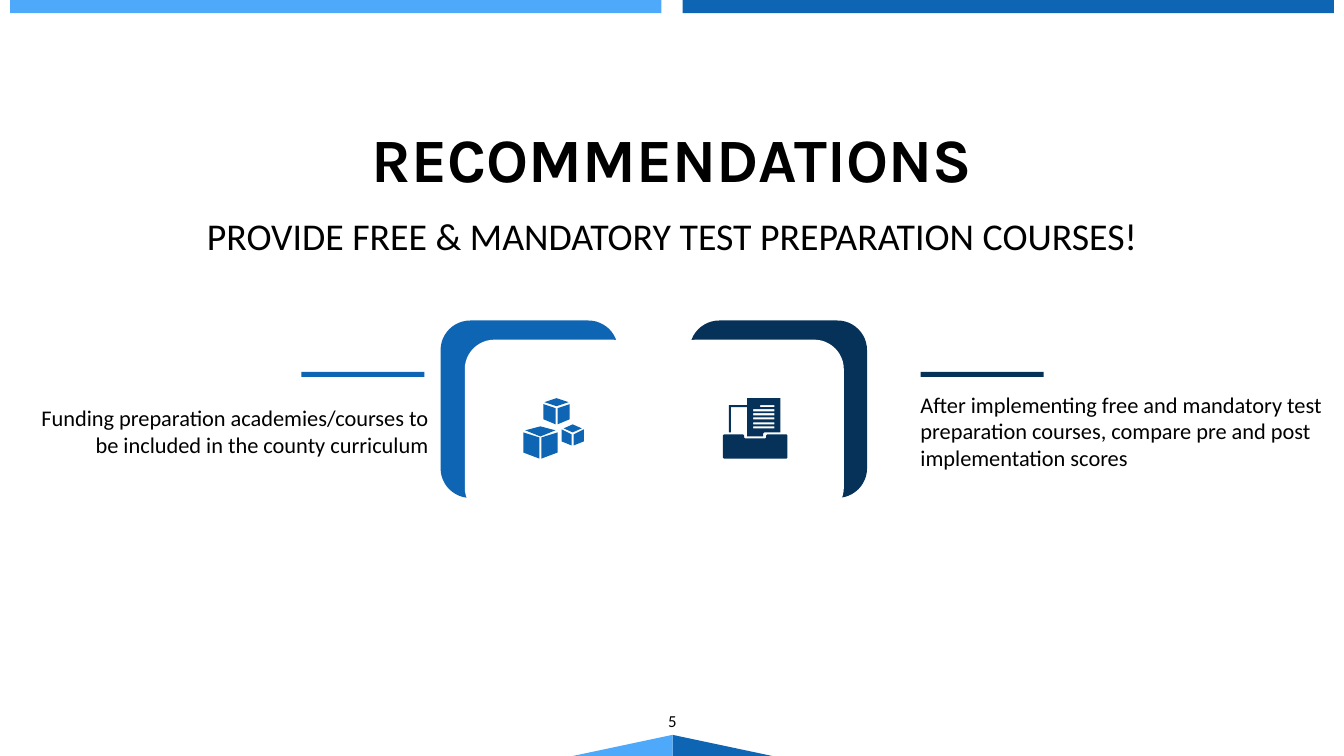
import pptx
import pptx.util
import pptx.dml.color
import pptx.enum.shapes
import pptx.enum.text

PX = pptx.util.Inches(1) // 100
SKY, BLUE, NAVY, WHITE, BLACK = "4EA9FA", "0E65B4", "06325A", "FFFFFF", "000000"
RECT = pptx.enum.shapes.MSO_SHAPE.RECTANGLE
ROUNDED = pptx.enum.shapes.MSO_SHAPE.ROUNDED_RECTANGLE
ALIGN = pptx.enum.text.PP_ALIGN
ANCHOR = pptx.enum.text.MSO_ANCHOR


def paint(shape, colour):
    shape.shadow.inherit = False
    shape.fill.solid()
    shape.fill.fore_color.rgb = pptx.dml.color.RGBColor.from_string(colour)
    shape.line.fill.background()


def draw_outline(contours, colour):
    builder = slide.shapes.build_freeform(*contours[0][0], scale=PX)
    builder.add_line_segments(contours[0][1:], close=True)
    for contour in contours[1:]:
        builder.move_to(*contour[0])
        builder.add_line_segments(contour[1:], close=True)
    paint(builder.convert_to_shape(), colour)


prs = pptx.Presentation()
prs.slide_width, prs.slide_height = 1333 * PX, 750 * PX
slide = prs.slides.add_slide(prs.slide_layouts[5])

draw_outline([[(667, 729), (766, 750), (667, 750)]], BLUE)
draw_outline([[(667, 729), (667, 750), (568, 750)]], SKY)

bars = [
    (10, 0, 646, 13, SKY),
    (677, 0, 646, 13, BLUE),
    (299, 369, 122, 5, BLUE),
    (913, 369, 122, 5, NAVY),
]
for *box, colour in bars:
    paint(slide.shapes.add_shape(RECT, *[v * PX for v in box]), colour)

heading = slide.shapes.title
heading.left, heading.top, heading.width, heading.height = [v * PX for v in (208, 120, 917, 74)]

texts = [
    (heading, "RECOMMENDATIONS", 44, "Karla", ALIGN.CENTER, ANCHOR.MIDDLE),
    ((77, 211, 1179, 34), "PROVIDE FREE & MANDATORY TEST PREPARATION COURSES!",
     27, "Calibri", ALIGN.CENTER, ANCHOR.TOP),
    ((517, 695, 300, 40), "5", 12, "Calibri", ALIGN.CENTER, ANCHOR.MIDDLE),
    ((29, 387, 396, 81),
     "Funding preparation academies/courses to be included in the county curriculum",
     16, "Calibri", ALIGN.RIGHT, ANCHOR.MIDDLE),
    ((913, 387, 400, 81),
     "After implementing free and mandatory test preparation courses, "
     "compare pre and post implementation scores",
     16, "Calibri", ALIGN.LEFT, ANCHOR.MIDDLE),
]
for place, words, size, face, align, anchor in texts:
    holder = place if place is heading else slide.shapes.add_textbox(*[v * PX for v in place])
    frame = holder.text_frame
    frame.word_wrap = True
    frame.auto_size = pptx.enum.text.MSO_AUTO_SIZE.NONE
    frame.margin_left = frame.margin_right = frame.margin_top = frame.margin_bottom = 0
    frame.vertical_anchor = anchor
    frame.text = words
    paragraph = frame.paragraphs[0]
    paragraph.alignment = align
    paragraph.font.size = pptx.util.Pt(size)
    paragraph.font.name = face
    paragraph.font.bold = place is heading
    paragraph.font.color.rgb = pptx.dml.color.RGBColor.from_string(BLACK)

tiles = [(437, 318, BLUE), (461, 337, WHITE), (684, 318, NAVY), (661, 337, WHITE)]
for left, top, colour in tiles:
    tile = slide.shapes.add_shape(ROUNDED, left * PX, top * PX, 176 * PX, 176 * PX)
    tile.adjustments[0] = 0.167
    paint(tile, colour)

cubes = [
    (552, 12, 13, (395, 399, 403), (401, 416), (405, 421)),
    (568, 9, 11, (421, 425, 429), (426, 438), (431, 442)),
    (536, 15, 17, (423, 427, 433), (429, 449), (434, 455)),
]
for centre, lid, half, (back, middle, front), outer, inner in cubes:
    draw_outline([[(centre, back), (centre + lid, middle), (centre, front), (centre - lid, middle)]], BLUE)
    for side in (-1, 1):
        seam, edge = centre + side, centre + side * half
        draw_outline([[(edge, outer[0]), (seam, inner[0]), (seam, inner[1]), (edge, outer[1])]], BLUE)

pages = [(725, 404), (741, 404), (741, 433), (757, 433), (757, 430), (758, 429), (774, 429),
         (774, 395), (741, 395), (741, 402), (723, 402), (723, 429), (725, 429)]
written_lines = [
    [(left, top), (768, top), (768, top + 2), (left, top + 2)]
    for left, top in [(754, 402), (747, 406), (747, 410), (747, 414), (747, 419), (747, 423)]
]
draw_outline([pages] + written_lines, NAVY)

tray = [(718, 431), (737, 431), (738, 432), (738, 434), (739, 435), (759, 435), (760, 434), (760, 432),
        (761, 431), (780, 431), (781, 432), (781, 454), (780, 455), (718, 455), (717, 454), (717, 432)]
draw_outline([tray], NAVY)

prs.save("out.pptx")
